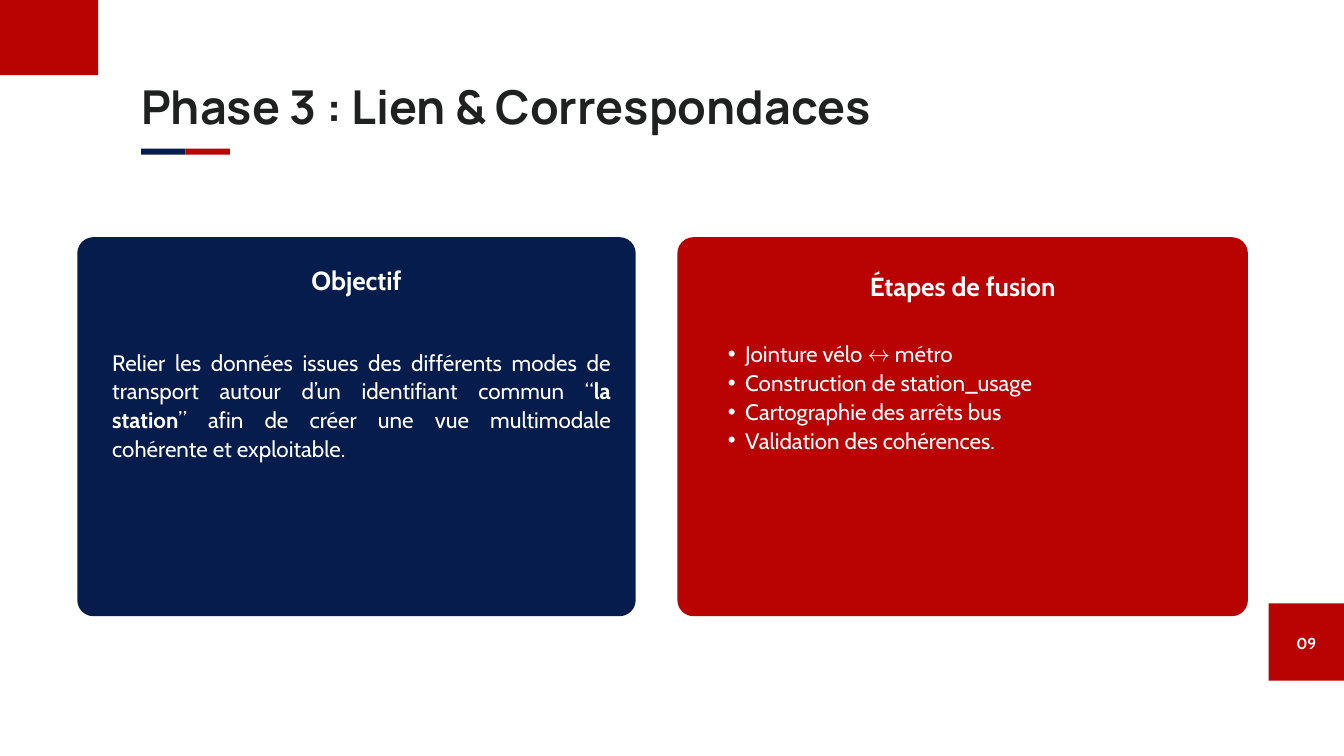
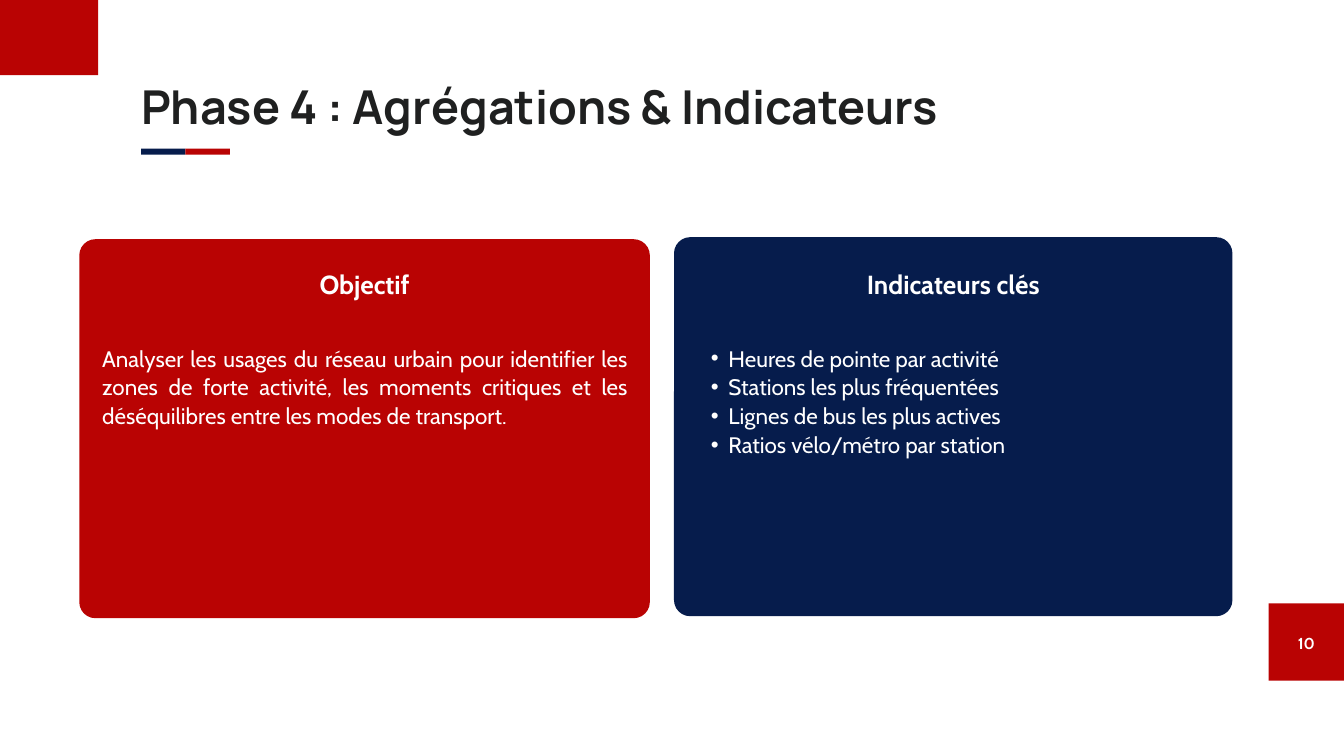
from dataclasses import dataclass

from lxml.etree import SubElement
from pptx import Presentation
from pptx.dml.color import RGBColor
from pptx.enum.shapes import MSO_SHAPE
from pptx.enum.text import MSO_ANCHOR, PP_ALIGN
from pptx.oxml.ns import qn
from pptx.shapes.autoshape import Shape
from pptx.slide import Slide
from pptx.text.text import TextFrame
from pptx.util import Inches, Pt


@dataclass(frozen=True)
class TextStyle:
    font: str
    size: float
    line: float
    color: RGBColor
    bold: bool = False
    align: PP_ALIGN = PP_ALIGN.LEFT


WHITE = RGBColor(0xFF, 0xFF, 0xFF)


@dataclass(frozen=True)
class Theme:
    navy: RGBColor = RGBColor(0x06, 0x1C, 0x4C)
    red: RGBColor = RGBColor(0xB9, 0x03, 0x03)
    title: TextStyle = TextStyle("Manrope", 50, 56, RGBColor(0x1F, 0x20, 0x20), True)
    heading: TextStyle = TextStyle("Cabin", 28, 36.4, WHITE, True, PP_ALIGN.CENTER)
    body: TextStyle = TextStyle("Cabin", 24, 30.8, WHITE, False, PP_ALIGN.JUSTIFY)
    page: TextStyle = TextStyle("Cabin", 17, 23.8, WHITE, True, PP_ALIGN.CENTER)


THEME = Theme()


@dataclass(frozen=True)
class Box:
    left: float
    top: float
    width: float
    height: float

    def lengths(self) -> tuple[Inches, Inches, Inches, Inches]:
        return Inches(self.left), Inches(self.top), Inches(self.width), Inches(self.height)


@dataclass(frozen=True)
class Run:
    text: str
    bold: bool = False


@dataclass(frozen=True)
class Card:
    box: Box
    color: RGBColor
    heading: str
    heading_top: float
    heading_width: float
    body_box: Box
    paragraphs: list[list[Run]]
    bulleted: bool = False


@dataclass(frozen=True)
class Page:
    number: str
    title: str
    cards: list[Card]


TITLE_BOX = Box(2.1, 1.21, 16.59, 0.81)
CORNER_BOX = Box(0, 0, 1.46, 1.12)
PAGE_TAB_BOX = Box(18.88, 8.98, 1.12, 1.15)
PAGE_NUMBER_BOX = Box(19.13, 9.38, 0.62, 0.31)
RULE_TOP, RULE_WIDTH, RULE_HEIGHT = 2.21, 0.66, 0.09
NAVY_WIDTH, RED_WIDTH, CARD_HEIGHT = 8.31, 8.49, 5.64
CARD_RADIUS = 0.24
HEADING_HEIGHT = 0.49
BULLET_INDENT = 0.26


def bullet_lines(*lines: str) -> list[list[Run]]:
    return [[Run(line)] for line in lines]


PAGES = [
    Page("09", "Phase 3 : Lien & Correspondaces", [
        Card(Box(1.15, 3.53, NAVY_WIDTH, CARD_HEIGHT), THEME.navy,
             "Objectif", 3.89, 1.58, Box(1.67, 5.16, 7.42, 1.71),
             [[Run("Relier les données issues des différents modes de transport "
                   "autour d’un identifiant commun “"),
               Run("la station", True),
               Run("” afin de créer une vue multimodale cohérente et exploitable.")]]),
        Card(Box(10.08, 3.53, RED_WIDTH, CARD_HEIGHT), THEME.red,
             "Étapes de fusion", 3.99, 3.06, Box(10.57, 5.04, 7.77, 2.14),
             bullet_lines("Jointure vélo ↔ métro", "Construction de station_usage",
                          "Cartographie des arrêts bus", "Validation des cohérences."),
             bulleted=True),
    ]),
    Page("10", "Phase 4 : Agrégations & Indicateurs", [
        Card(Box(1.18, 3.56, RED_WIDTH, CARD_HEIGHT), THEME.red,
             "Objectif", 3.96, 1.5, Box(1.52, 5.1, 7.82, 1.72),
             [[Run("Analyser les usages du réseau urbain pour identifier les zones "
                   "de forte activité, les moments critiques et les déséquilibres "
                   "entre les modes de transport.")]]),
        Card(Box(10.03, 3.53, NAVY_WIDTH, CARD_HEIGHT), THEME.navy,
             "Indicateurs clés", 3.96, 2.83, Box(10.32, 5.1, 8.18, 1.71),
             bullet_lines("Heures de pointe par activité", "Stations les plus fréquentées",
                          "Lignes de bus les plus actives", "Ratios vélo/métro par station"),
             bulleted=True),
    ]),
]


def write_text(frame: TextFrame, paragraphs: list[list[Run]], style: TextStyle,
               bulleted: bool = False) -> None:
    frame.word_wrap = True
    frame.vertical_anchor = MSO_ANCHOR.TOP
    frame.margin_left = frame.margin_right = frame.margin_top = frame.margin_bottom = 0
    for index, runs in enumerate(paragraphs):
        paragraph = frame.paragraphs[0] if index == 0 else frame.add_paragraph()
        paragraph.alignment = style.align
        paragraph.line_spacing = Pt(style.line)
        paragraph.space_before = Pt(0)
        if bulleted:
            properties = paragraph._p.get_or_add_pPr()
            properties.set("marL", str(Inches(2 * BULLET_INDENT)))
            properties.set("indent", str(-Inches(BULLET_INDENT)))
            SubElement(properties, qn("a:buFont")).set("typeface", "Arial")
            SubElement(properties, qn("a:buChar")).set("char", "•")
        font = paragraph.font
        font.name, font.size, font.color.rgb = style.font, Pt(style.size), style.color
        if len(runs) == 1:
            font.bold = style.bold
        for part in runs:
            run = paragraph.add_run()
            run.text = part.text
            if len(runs) > 1:
                run.font.bold = part.bold


def add_text(slide: Slide, box: Box, paragraphs: list[list[Run]], style: TextStyle,
             bulleted: bool = False) -> None:
    shape = slide.shapes.add_textbox(*box.lengths())
    write_text(shape.text_frame, paragraphs, style, bulleted)


def add_block(slide: Slide, box: Box, color: RGBColor,
              kind: MSO_SHAPE = MSO_SHAPE.RECTANGLE) -> Shape:
    shape = slide.shapes.add_shape(kind, *box.lengths())
    shape.shadow.inherit = False
    shape.fill.solid()
    shape.fill.fore_color.rgb = color
    shape.line.fill.background()
    return shape


def add_card(slide: Slide, card: Card) -> None:
    block = add_block(slide, card.box, card.color, MSO_SHAPE.ROUNDED_RECTANGLE)
    block.adjustments[0] = CARD_RADIUS / card.box.height
    # Heading centred on its card
    heading_left = card.box.left + (card.box.width - card.heading_width) / 2
    heading_box = Box(heading_left, card.heading_top, card.heading_width, HEADING_HEIGHT)
    add_text(slide, heading_box, [[Run(card.heading)]], THEME.heading)
    add_text(slide, card.body_box, card.paragraphs, THEME.body, card.bulleted)


def add_frame(slide: Slide, page: Page) -> None:
    # Title and its two-colour rule
    title = slide.shapes.title
    title.left, title.top, title.width, title.height = TITLE_BOX.lengths()
    write_text(title.text_frame, [[Run(page.title)]], THEME.title)
    for index, color in enumerate((THEME.navy, THEME.red)):
        rule_left = TITLE_BOX.left + index * RULE_WIDTH
        add_block(slide, Box(rule_left, RULE_TOP, RULE_WIDTH, RULE_HEIGHT), color)
    # Corner block and page number
    add_block(slide, CORNER_BOX, THEME.red)
    add_block(slide, PAGE_TAB_BOX, THEME.red)
    add_text(slide, PAGE_NUMBER_BOX, [[Run(page.number)]], THEME.page)


def main() -> None:
    presentation = Presentation()
    presentation.slide_width, presentation.slide_height = Inches(20), Inches(11.25)
    title_only = presentation.slide_layouts[5]
    for page in PAGES:
        slide = presentation.slides.add_slide(title_only)
        add_frame(slide, page)
        for card in page.cards:
            add_card(slide, card)
    presentation.save("out.pptx")


if __name__ == "__main__":
    main()
